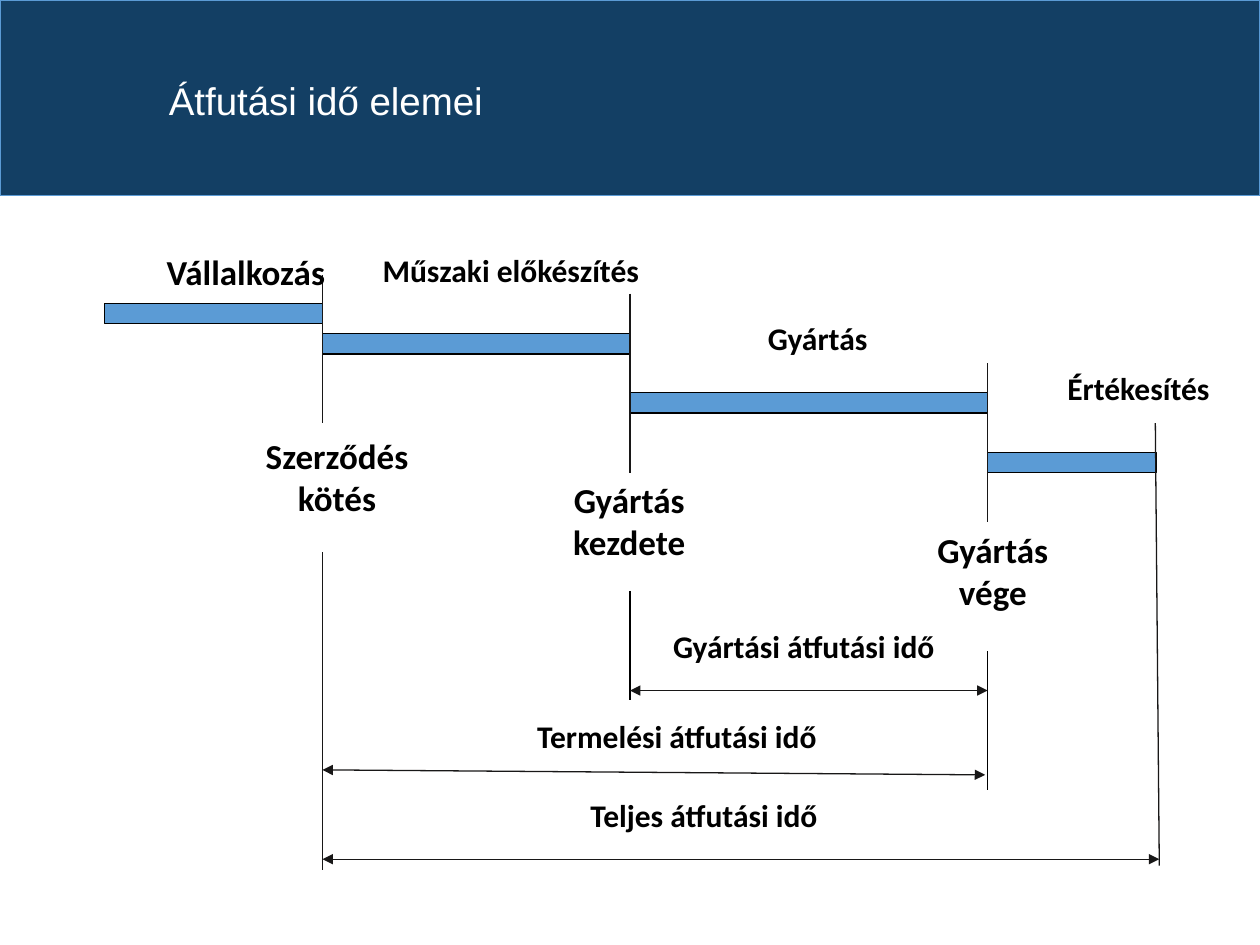
from typing import NamedTuple

from lxml.etree import SubElement
from pptx import Presentation
from pptx.dml.color import RGBColor
from pptx.enum.shapes import MSO_CONNECTOR, MSO_SHAPE
from pptx.enum.text import MSO_ANCHOR, MSO_AUTO_SIZE, PP_ALIGN
from pptx.oxml.ns import qn
from pptx.util import Cm, Pt

NAVY = RGBColor(0x13, 0x3F, 0x64)
BLUE = RGBColor(0x5B, 0x9B, 0xD5)
BLACK = RGBColor(0, 0, 0)
INK = RGBColor(0x18, 0x17, 0x17)
WHITE = RGBColor(0xFF, 0xFF, 0xFF)

# Milestones on the time axis, in cm
START, CONTRACT, MAKE_START, MAKE_END, SOLD = 2.11, 6.5, 12.7, 19.91, 23.31
BAR_HEIGHT = 0.41


class Phase(NamedTuple):
    start: float
    end: float
    top: float


class Line(NamedTuple):
    x1: float
    y1: float
    x2: float
    y2: float
    color: RGBColor = INK
    arrows: bool = False


class Label(NamedTuple):
    text: str
    left: float
    top: float
    width: float
    height: float = 1.02
    size: int = 18


PHASES = [
    Phase(START, CONTRACT, 6.12),
    Phase(CONTRACT, MAKE_START, 6.73),
    Phase(MAKE_START, MAKE_END, 7.92),
    Phase(MAKE_END, SOLD, 9.12),
]

LINES = [
    # Milestone lines, broken where their labels stand
    Line(CONTRACT, 5.54, CONTRACT, 8.53),
    Line(CONTRACT, 11.13, CONTRACT, 17.53),
    Line(MAKE_START, 5.92, MAKE_START, 9.53),
    Line(MAKE_START, 11.91, MAKE_START, 14.12, BLACK),
    Line(MAKE_END, 7.32, MAKE_END, 10.52),
    Line(MAKE_END, 13.13, MAKE_END, 15.93, BLACK),
    Line(23.29, 8.53, 23.37, 17.45),
    # Lead-time spans
    Line(MAKE_START, 13.92, MAKE_END, 13.92, arrows=True),
    Line(CONTRACT, 15.52, 19.86, 15.62, arrows=True),
    Line(CONTRACT, 17.32, 23.37, 17.32, arrows=True),
]

LABELS = [
    # Phases
    Label("Vállalkozás", 2.11, 4.93, 5.69, 1.09, 20),
    Label("Műszaki előkészítés", 6.3, 4.93, 8.0),
    Label("Gyártás", 13.49, 6.3, 5.99),
    Label("Értékesítés", 20.5, 7.32, 4.9),
    # Milestones
    Label("Szerződés kötés", 4.6, 8.64, 4.39, 1.96, 20),
    Label("Gyártás kezdete", 10.59, 9.53, 4.19, 1.96, 20),
    Label("Gyártás vége", 18.11, 10.52, 3.81, 1.96, 20),
    # Lead times
    Label("Gyártási átfutási idő", 12.7, 12.52, 7.01),
    Label("Termelési átfutási idő", 9.19, 14.33, 8.92),
    Label("Teljes átfutási idő", 10.69, 15.93, 7.01),
]


def set_font(r, **values) -> None:
    color = values.pop("color")
    for name, value in values.items():
        setattr(r.font, name, value)
    r.font.color.rgb = color


def add_rect(s, left: float, top: float, width: float, height: float,
             fill: RGBColor, line: RGBColor, weight: float):
    sp = s.shapes.add_shape(MSO_SHAPE.RECTANGLE, Cm(left), Cm(top),
                            Cm(width), Cm(height))
    sp.shadow.inherit = False
    sp.fill.solid()
    sp.fill.fore_color.rgb = fill
    sp.line.color.rgb = line
    sp.line.width = Pt(weight)
    return sp


def add_line(s, line: Line) -> None:
    cx = s.shapes.add_connector(MSO_CONNECTOR.STRAIGHT, Cm(line.x1), Cm(line.y1),
                                Cm(line.x2), Cm(line.y2))
    cx.line.color.rgb = line.color
    cx.line.width = Pt(0.75)
    if line.arrows:
        ln = cx.line._get_or_add_ln()
        for end in ("a:headEnd", "a:tailEnd"):
            SubElement(ln, qn(end), type="triangle")
    SubElement(cx._element.spPr, qn("a:effectLst"))


def add_label(s, label: Label) -> None:
    box = s.shapes.add_textbox(Cm(label.left), Cm(label.top),
                               Cm(label.width), Cm(label.height))
    tf = box.text_frame
    tf.word_wrap = True
    tf.auto_size = MSO_AUTO_SIZE.SHAPE_TO_FIT_TEXT
    p = tf.paragraphs[0]
    p.alignment = PP_ALIGN.CENTER
    r = p.add_run()
    r.text = label.text
    set_font(r, name="Calibri", size=Pt(label.size), bold=True, color=BLACK)


def add_title(s, text: str) -> None:
    title = s.shapes.title
    box = {"left": 3.15, "top": 1.02, "width": 20.5, "height": 2.13}
    for name, value in box.items():
        setattr(title, name, Cm(value))
    tf = title.text_frame
    tf.vertical_anchor = MSO_ANCHOR.MIDDLE
    p = tf.paragraphs[0]
    p.alignment = PP_ALIGN.LEFT
    p.line_spacing = 0.9
    r = p.add_run()
    r.text = text
    set_font(r, name="Arial", size=Pt(22), bold=False, color=WHITE)


def main() -> None:
    prs = Presentation()
    prs.slide_width, prs.slide_height = Cm(25.4), Cm(19.05)
    s = prs.slides.add_slide(prs.slide_layouts[5])

    # Header band, sent behind the title
    band = add_rect(s, 0, 0, 25.4, 3.95, NAVY, BLUE, 0.5)
    s.shapes._spTree.insert(2, band._element)
    add_title(s, "Átfutási idő elemei")

    # Timeline
    for phase in PHASES:
        add_rect(s, phase.start, phase.top, phase.end - phase.start, BAR_HEIGHT,
                 BLUE, BLACK, 0.75)
    for line in LINES:
        add_line(s, line)
    for label in LABELS:
        add_label(s, label)

    prs.save("out.pptx")


if __name__ == "__main__":
    main()
